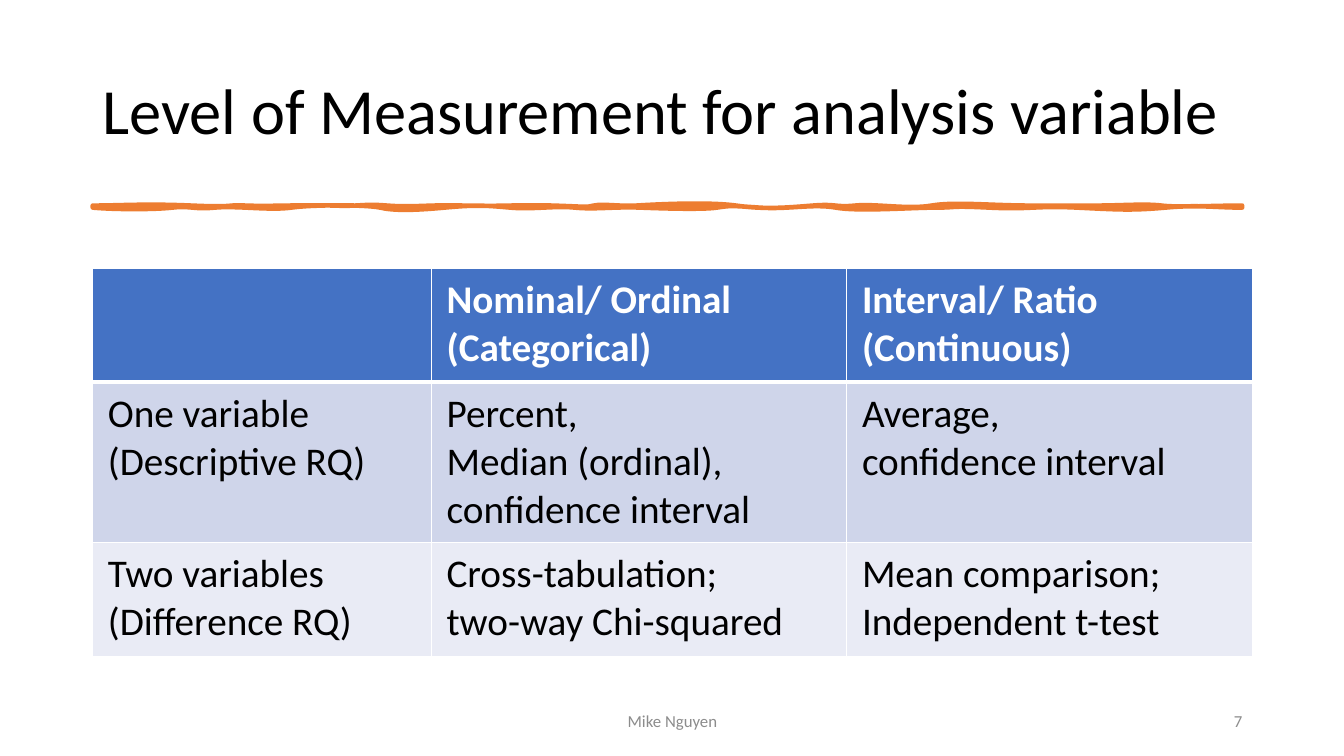
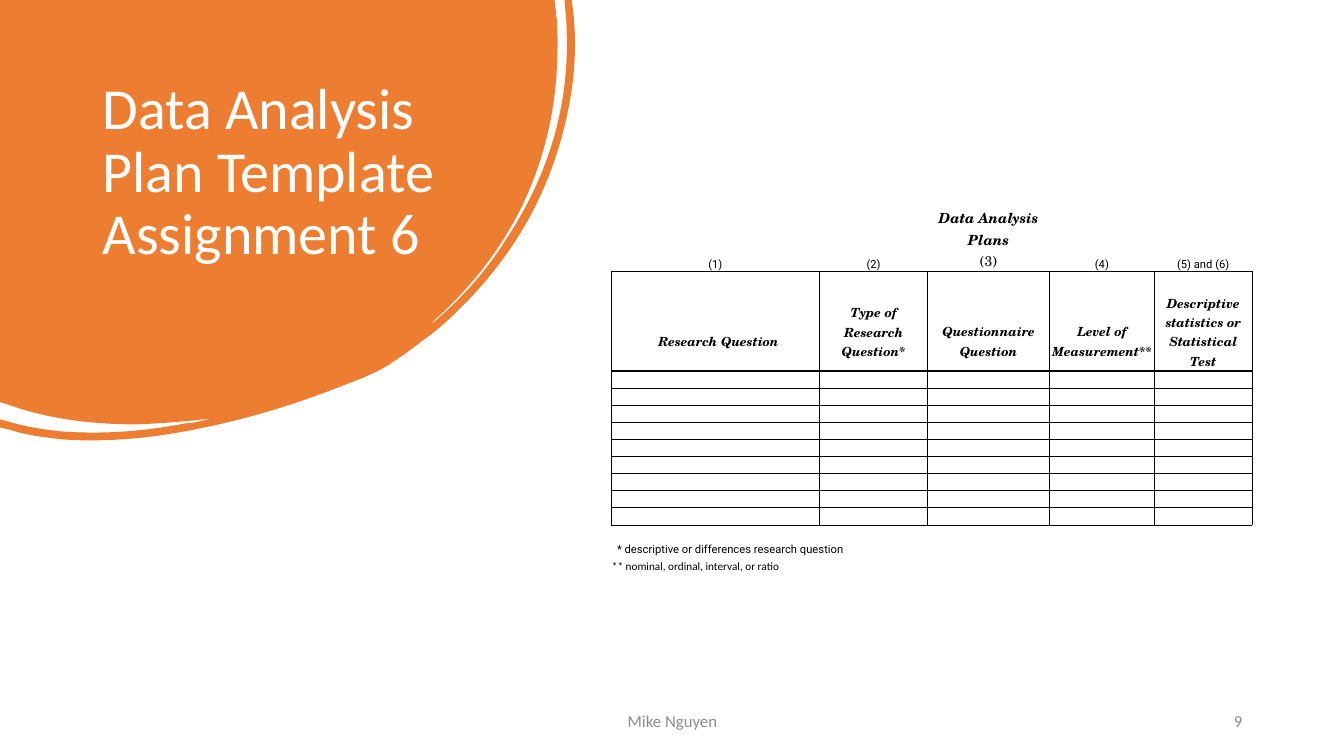
"""Build two slides on levels of measurement and a data analysis plan."""
from lxml.etree import SubElement
from pptx import Presentation
from pptx.dml.color import RGBColor
from pptx.enum.text import MSO_ANCHOR as ANCHOR, PP_ALIGN as ALIGN
from pptx.oxml.ns import qn
from pptx.util import Inches, Pt

COLORS = {
    "black": "000000",
    "white": "FFFFFF",
    "orange": "ED7D31",
    "blue": "4472C4",
    "band": "CFD5EA",
    "pale": "E9EBF5",
    "gray": "8C8C8C",
}
SERIF = "TeX Gyre Schola"
NO_STYLE = "{2D5ABB26-0587-4C30-8999-92F81FD0307C}"


def write(tf, text, size=12, font="Calibri", color="black", bold=False,
          italic=False, align=ALIGN.LEFT, spacing=None):
    tf.word_wrap = True
    for i, line in enumerate(text.split("\n")):
        p = tf.paragraphs[0] if i == 0 else tf.add_paragraph()
        p.text = line
        p.alignment = align
        p.line_spacing = spacing
        for r in p.runs:
            r.font.size = Pt(size)
            r.font.name = font
            r.font.bold = bold
            r.font.italic = italic
            r.font.color.rgb = RGBColor.from_string(COLORS[color])
        if not line:
            SubElement(p._p, qn("a:endParaRPr"), sz=str(size * 100))


def set_borders(cell, color, **widths):
    tcPr = cell._tc.get_or_add_tcPr()
    for side in "LRTB":
        ln = SubElement(tcPr, qn(f"a:ln{side}"), w=str(Pt(widths.get(side, 0))))
        if side in widths:
            fill = SubElement(ln, qn("a:solidFill"))
            SubElement(fill, qn("a:srgbClr"), val=COLORS[color])
        else:
            SubElement(ln, qn("a:noFill"))


prs = Presentation()
prs.slide_width = Inches(13.33)
prs.slide_height = Inches(7.5)

brush_line = [
    (0.92, 2.04),
    (1.19, 2.04, 1.44, 2.02, 1.9, 2.04), (2.37, 2.06, 2.2, 2.03, 2.44, 2.04),
    (2.67, 2.05, 3.03, 2.03, 3.31, 2.04), (3.6, 2.05, 3.59, 2.02, 3.84, 2.04),
    (4.1, 2.06, 4.23, 2.03, 4.6, 2.04), (4.98, 2.05, 5.14, 2.03, 5.48, 2.04),
    (5.81, 2.05, 5.81, 2.06, 5.89, 2.04), (5.98, 2.02, 6.15, 2.05, 6.31, 2.04),
    (6.47, 2.03, 7.01, 2, 7.3, 2.04), (7.59, 2.08, 7.81, 2.06, 8.06, 2.04),
    (8.31, 2.02, 8.27, 2.06, 8.48, 2.04), (8.68, 2.02, 9.01, 2.08, 9.24, 2.04),
    (9.47, 2, 9.82, 2.04, 10.23, 2.04), (10.63, 2.04, 10.63, 2.04, 10.87, 2.04),
    (11.12, 2.04, 11.36, 2.02, 11.52, 2.04), (11.68, 2.06, 12.03, 2.04, 12.32, 2.04),
    (12.32, 2.06),
    (12.05, 2.06, 11.89, 2.03, 11.56, 2.06), (11.22, 2.09, 11.1, 2.08, 10.68, 2.06),
    (10.27, 2.04, 10.23, 2.08, 9.81, 2.06), (9.39, 2.04, 9.52, 2.06, 9.28, 2.06),
    (9.04, 2.06, 8.51, 2.1, 8.29, 2.06), (8.06, 2.02, 7.82, 2.08, 7.53, 2.06),
    (7.24, 2.04, 7.25, 2.04, 7.11, 2.06), (6.98, 2.08, 6.61, 2.07, 6.35, 2.06),
    (6.09, 2.05, 5.9, 2.08, 5.7, 2.06), (5.51, 2.04, 5.28, 2.08, 5.06, 2.06),
    (4.83, 2.04, 4.73, 2.03, 4.41, 2.06), (4.09, 2.09, 3.9, 2.09, 3.77, 2.06),
    (3.63, 2.03, 3.1, 2.03, 2.89, 2.06), (2.68, 2.09, 2.35, 2.04, 2.13, 2.06),
    (1.92, 2.08, 1.89, 2.04, 1.71, 2.06), (1.54, 2.08, 1.14, 2.08, 0.92, 2.06),
]
corner_blob = [
    (0, 0), (5.5, 0), (5.52, 0.17),
    (5.53, 0.26, 5.53, 0.36, 5.53, 0.45), (5.53, 1.01, 5.42, 1.54, 5.18, 2.04),
    (4.96, 2.49, 4.65, 2.88, 4.27, 3.21), (4.29, 3.21, 4.3, 3.19, 4.32, 3.18),
    (4.59, 2.95, 4.82, 2.69, 5.01, 2.39), (5.43, 1.76, 5.65, 1.07, 5.62, 0.3),
    (5.62, 0.21, 5.61, 0.12, 5.6, 0.03),
    (5.6, 0), (5.67, 0), (5.68, 0.07),
    (5.74, 0.54, 5.68, 1.02, 5.53, 1.5), (5.33, 2.14, 4.97, 2.68, 4.48, 3.14),
    (4.39, 3.23, 4.29, 3.31, 4.19, 3.38), (4.09, 3.46, 3.99, 3.53, 3.87, 3.61),
    (3.75, 3.69, 3.6, 3.75, 3.44, 3.81), (2.99, 3.99, 2.52, 4.14, 2.03, 4.24),
    (1.57, 4.34, 1.1, 4.39, 0.63, 4.36), (0.45, 4.34, 0.28, 4.32, 0.12, 4.27),
    (0, 4.24), (0, 4.16), (0.04, 4.17),
    (0.23, 4.23, 0.42, 4.26, 0.61, 4.28), (1.03, 4.31, 1.43, 4.28, 1.84, 4.2),
    (1.89, 4.2, 1.93, 4.19, 1.98, 4.18), (2.02, 4.17, 2.06, 4.16, 2.1, 4.15),
    (1.86, 4.18, 1.61, 4.2, 1.36, 4.21), (0.92, 4.21, 0.48, 4.16, 0.07, 4.01),
    (0, 3.99),
]

pages = [
    ("Level of Measurement for analysis variable", (0.92, 0.4, 11.5, 1.45),
     ANCHOR.MIDDLE, 46, "black", "7", brush_line, 3.25),
    ("Data Analysis Plan Template\vAssignment 6", (0.92, 0.74, 3.52, 2.22),
     ANCHOR.TOP, 41.4, "white", "9", corner_blob, 0),
]
for title, title_box, title_anchor, title_size, title_color, number, outline, width in pages:
    s = prs.slides.add_slide(prs.slide_layouts[6])

    builder = s.shapes.build_freeform(*map(Inches, outline[0]))
    for segment in outline[1:]:
        points = zip(segment[::2], segment[1::2])
        builder.add_line_segments([(Inches(x), Inches(y)) for x, y in points], close=False)
    builder.add_line_segments([], close=True)
    sp = builder.convert_to_shape()
    lines = iter(list(sp._element.iter(qn("a:lnTo"))))
    for segment in outline[1:]:
        first = next(lines)
        if len(segment) == 6:
            curve = first.makeelement(qn("a:cubicBezTo"))
            first.addprevious(curve)
            for line in (first, next(lines), next(lines)):
                curve.append(line[0])
                line.getparent().remove(line)
    sp.shadow.inherit = False
    sp.fill.solid()
    sp.fill.fore_color.rgb = RGBColor.from_string(COLORS["orange"])
    if width:
        sp.line.color.rgb = RGBColor.from_string(COLORS["orange"])
        sp.line.width = Pt(width)
    else:
        sp.line.fill.background()

    footer = dict(size=12, color="gray")
    for text, box, anchor, style in (
        (title, title_box, title_anchor,
         dict(size=title_size, color=title_color, spacing=0.9)),
        ("Mike Nguyen", (4.42, 6.95, 4.5, 0.4), ANCHOR.MIDDLE,
         dict(footer, align=ALIGN.CENTER)),
        (number, (9.42, 6.95, 3, 0.4), ANCHOR.MIDDLE,
         dict(footer, align=ALIGN.RIGHT)),
    ):
        tf = s.shapes.add_textbox(*map(Inches, box)).text_frame
        tf.vertical_anchor = anchor
        write(tf, text, **style)

measure_rows = [
    ("", "Nominal/ Ordinal (Categorical)", "Interval/ Ratio (Continuous)"),
    ("One variable\n(Descriptive RQ)",
     "Percent,\nMedian (ordinal),\nconfidence interval",
     "Average,\nconfidence interval"),
    ("Two variables\n(Difference RQ)",
     "Cross-tabulation;\ntwo-way Chi-squared",
     "Mean comparison; Independent t-test"),
]
plan_rows = [("",) * 5 for _ in range(16)]
plan_rows[0] = ("", "", "Data Analysis Plans", "", "")
plan_rows[1] = ("(1)", "(2)", "(3)", "(4)", "(5) and (6)")
plan_rows[3] = ("Research Question", "Type of Research Question*",
                "Questionnaire Question", "Level of Measurement**",
                "Descriptive statistics or Statistical Test")
plan_rows[14] = ("* descriptive or differences research question",) + ("",) * 4
plan_rows[15] = ("** nominal, ordinal, interval, or ratio",) + ("",) * 4

tables = []
for s, rows, left, top, widths, heights in (
    (prs.slides[0], measure_rows, 0.92, 2.66, (3.36, 4.12, 4.02), (1.13, 1.59, 1.13)),
    (prs.slides[1], plan_rows, 6.06, 2.05, (2.07, 1.07, 1.21, 1.04, 0.97),
     (0.43, 0.21, 0.21, 0.78, *[0.17] * 9, 0.13, 0.17, 0.17)),
):
    box = (left, top, sum(widths), sum(heights))
    table = s.shapes.add_table(len(rows), len(widths), *map(Inches, box)).table
    table._tbl.tblPr.find(qn("a:tableStyleId")).text = NO_STYLE
    for column, width in zip(table.columns, widths):
        column.width = Inches(width)
    for row, height in zip(table.rows, heights):
        row.height = Inches(height)
    tables.append(table)
measures, plan = tables

for i, row in enumerate(measure_rows):
    for j, text in enumerate(row):
        cell = measures.cell(i, j)
        cell.margin_left = cell.margin_right = Inches(0.15)
        cell.margin_top = cell.margin_bottom = Inches(0.08)
        set_borders(cell, "white", L=1, R=1, T=3 if i == 1 else 1, B=3 if i == 0 else 1)
        cell.fill.solid()
        cell.fill.fore_color.rgb = RGBColor.from_string(COLORS[("blue", "band", "pale")[i]])
        write(cell.text_frame, text, size=28, bold=i == 0,
              color="white" if i == 0 else "black")

plan_borders = {
    1: dict(B=0.5),
    2: dict(L=0.5, R=0.5, T=0.5),
    3: dict(L=0.5, R=0.5, B=1.5),
    4: dict(L=0.5, R=0.5, T=1.5, B=0.5),
    13: dict(T=0.5),
}
plan_borders.update({i: dict(L=0.5, R=0.5, T=0.5, B=0.5) for i in range(5, 13)})
small = dict(size=8, font="Roboto")
plan_styles = {
    0: dict(size=10, font=SERIF, bold=True, italic=True, align=ALIGN.CENTER),
    1: dict(small, align=ALIGN.CENTER),
    3: dict(size=9, font=SERIF, bold=True, italic=True, align=ALIGN.CENTER),
    15: dict(size=8),
}
for i, row in enumerate(plan_rows):
    for j, text in enumerate(row):
        cell = plan.cell(i, j)
        cell.margin_left = cell.margin_right = cell.margin_top = Inches(0.01)
        cell.margin_bottom = 0
        cell.vertical_anchor = ANCHOR.MIDDLE if i == 3 else ANCHOR.BOTTOM
        set_borders(cell, "black", **plan_borders.get(i, {}))
        cell.fill.background()
        style = plan_styles.get(i, small) if text else small
        if text == "(3)":
            style = dict(style, size=10, font=SERIF)
        write(cell.text_frame, text, **style)
for j in (0, 2, 3):
    plan.cell(3, j).margin_top = Inches(0.2)
plan.cell(3, 0).margin_left = Inches(0.07)
plan.cell(14, 0).margin_left = Inches(0.06)
for i in (14, 15):
    plan.cell(i, 0).merge(plan.cell(i, 1))

prs.save("out.pptx")
